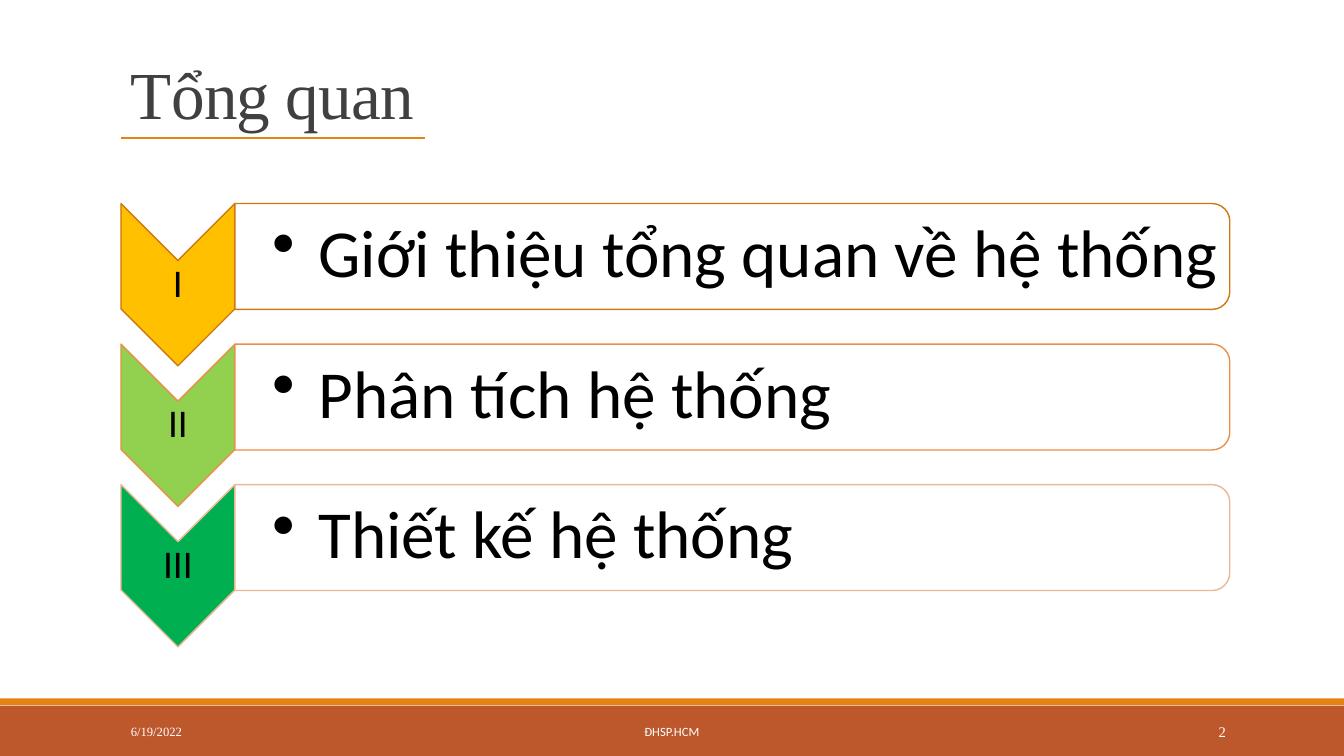
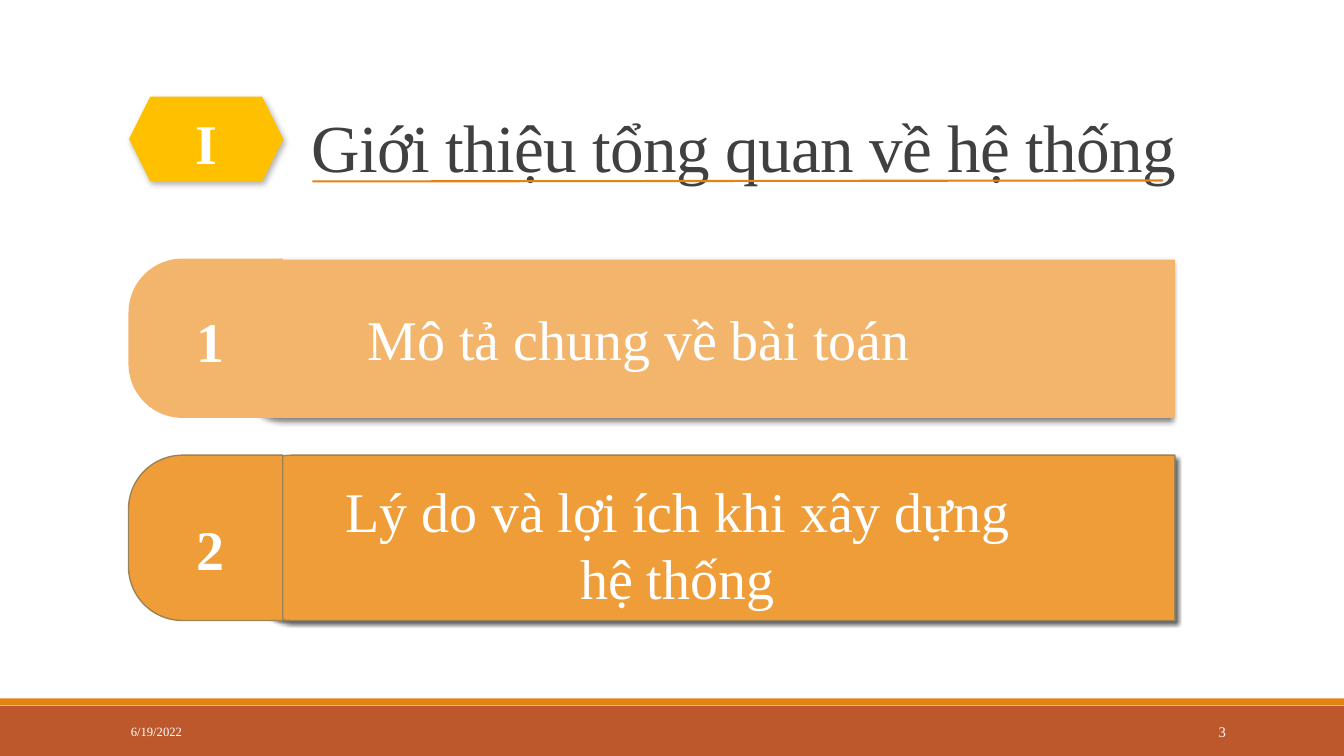
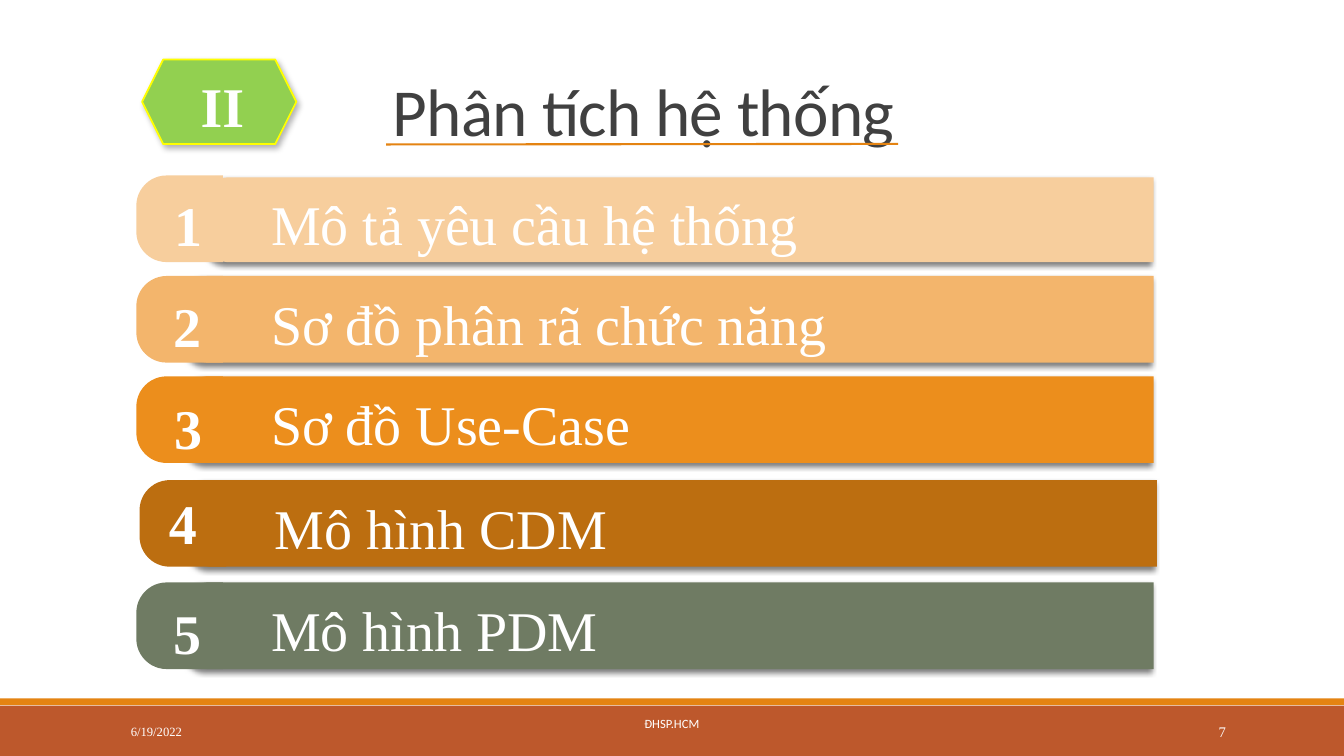
from lxml.etree import SubElement
from pptx import Presentation
from pptx.dml.color import RGBColor
from pptx.enum.shapes import MSO_CONNECTOR, MSO_SHAPE
from pptx.enum.text import MSO_ANCHOR, PP_ALIGN
from pptx.oxml.ns import qn
from pptx.util import Pt

COLORS = {
    "white": "FFFFFF",
    "black": "000000",
    "title": "404040",
    "orange": "E48312",
    "rust": "BD582C",
    "gold": "FFC000",
    "lime": "92D050",
    "green": "00B050",
    "yellow": "FFFF00",
    "edge_dark": "CF7710",
    "edge_mid": "E8904A",
    "edge_light": "ECB698",
    "edge_brown": "9B8357",
    "peach": "F7CE9D",
    "apricot": "F3B56C",
    "amber": "EF9D39",
    "tangerine": "EC8E1C",
    "brown": "BC6E10",
    "olive": "6F7B63",
}
SERIF = "Times New Roman"
SANS = "Calibri"
SLIDE_WIDTH, SLIDE_HEIGHT = 960, 540
NUMBER_WIDTH, NUMBER_HEIGHT = 61.2, 55.4

BAR_SHADOW = (50, 4, 3, 135)
EDGED_BAR_SHADOW = (60, 3, 2, 45)
BADGE_SHADOW = (30, 4.5, 2.6, 53)


def color(name):
    return RGBColor.from_string(COLORS[name])


def add_shadow(shape, opacity, blur, distance, angle):
    effects = shape.element.spPr.find(qn("a:effectLst"))
    shadow = SubElement(
        effects, qn("a:outerShdw"), blurRad=str(Pt(blur)), dist=str(Pt(distance)),
        dir=str(angle * 60000), algn="ctr", rotWithShape="0")
    tint = SubElement(shadow, qn("a:srgbClr"), val=COLORS["black"])
    SubElement(tint, qn("a:alpha"), val=str(opacity * 1000))


def add_block(slide, kind, left, top, width, height, fill, line=None,
              line_width=1, rotation=0, adjustments=(), shadow=None):
    if rotation in (90, 270):
        left, top = left + (width - height) / 2, top + (height - width) / 2
        width, height = height, width
    shape = slide.shapes.add_shape(kind, Pt(left), Pt(top), Pt(width), Pt(height))
    shape.rotation = rotation
    for index, value in enumerate(adjustments):
        shape.adjustments[index] = value
    shape.fill.solid()
    shape.fill.fore_color.rgb = color(fill)
    if line:
        shape.line.color.rgb = color(line)
        shape.line.width = Pt(line_width)
    else:
        shape.line.fill.background()
    shape.shadow.inherit = False
    if shadow:
        add_shadow(shape, *shadow)
    return shape


def add_text(slide, text, left, top, width, height, size, font=SERIF, tint="white",
             bold=False, align=PP_ALIGN.LEFT, anchor=MSO_ANCHOR.MIDDLE,
             margins=(7.2, 3.6, 7.2, 3.6), spacing=1):
    box = slide.shapes.add_textbox(Pt(left), Pt(top), Pt(width), Pt(height))
    frame = box.text_frame
    frame.word_wrap = True
    frame.vertical_anchor = anchor
    frame.margin_left, frame.margin_top, frame.margin_right, frame.margin_bottom = map(Pt, margins)
    paragraph = frame.paragraphs[0]
    paragraph.text = text
    paragraph.alignment = align
    paragraph.line_spacing = spacing
    paragraph.font.name = font
    paragraph.font.size = Pt(size)
    paragraph.font.bold = bold
    paragraph.font.color.rgb = color(tint)
    return paragraph


def add_bullet(paragraph, indent):
    properties = paragraph._p.get_or_add_pPr()
    properties.set("marL", str(Pt(indent)))
    properties.set("indent", str(-Pt(indent)))
    bullet = SubElement(properties, qn("a:buChar"), char="•")
    defaults = properties.find(qn("a:defRPr"))
    if defaults is not None:
        defaults.addprevious(bullet)


def add_title(slide, text, left, bottom, underline, font=SERIF):
    height = 72
    paragraph = add_text(slide, text, left, bottom - height, 878.4 - left, height, 48, font,
                         "title", anchor=MSO_ANCHOR.BOTTOM, spacing=0.85)
    paragraph.runs[0].font._element.set("spc", "-50")
    connector = slide.shapes.add_connector(MSO_CONNECTOR.STRAIGHT, *map(Pt, underline))
    connector.line.color.rgb = color("orange")
    connector.line.width = Pt(1.5)
    SubElement(connector.element.spPr, qn("a:effectLst"))


def add_number(slide, text, left, top):
    add_text(slide, text, left, top, NUMBER_WIDTH, NUMBER_HEIGHT, 40,
             bold=True, align=PP_ALIGN.CENTER)


def add_badge(slide, numeral, left, top, fill, number_left, line=None):
    add_block(slide, MSO_SHAPE.HEXAGON, left, top, 110.2, 60.5, fill, line, 1.25,
              shadow=BADGE_SHADOW)
    add_number(slide, numeral, number_left, top + 5)


def add_bar(slide, left, top, cap_width, height, bar_left, right, fill,
            line=None, shadow=BAR_SHADOW, inset=0):
    add_block(slide, MSO_SHAPE.ROUND_2_SAME_RECTANGLE, bar_left, top + inset,
              right - bar_left, height - inset, fill, line, rotation=270,
              adjustments=(0.23, 0), shadow=shadow)
    add_block(slide, MSO_SHAPE.ROUND_2_SAME_RECTANGLE, left, top, cap_width, height,
              fill, line, rotation=270, adjustments=(0.35, 0))


def add_chapter(slide, numeral, text, top, fill, line):
    add_block(slide, MSO_SHAPE.CHEVRON, 86.4, top, 81.4, 115.9, fill, line, rotation=90)
    add_text(slide, numeral, 86.4, top + 40.4, 81.4, 34.6, 28, SANS, "black",
             align=PP_ALIGN.CENTER, margins=(1.4,) * 4, spacing=0.9)
    add_block(slide, MSO_SHAPE.ROUND_2_SAME_RECTANGLE, 167.8, top, 710.6, 75.6,
              "white", line, rotation=90)
    paragraph = add_text(slide, text, 167.8, top + 3.6, 707, 67.7, 48, SANS, "black",
                         margins=(26.6, 2.2, 0, 2.2), spacing=0.9)
    add_bullet(paragraph, 33)


def start_slide(presentation, number, footer=None, footer_top=508.3):
    slide = presentation.slides.add_slide(presentation.slide_layouts[6])
    add_block(slide, MSO_SHAPE.RECTANGLE, 0, 504, SLIDE_WIDTH, 36, "rust")
    add_block(slide, MSO_SHAPE.RECTANGLE, 0, 498.8, SLIDE_WIDTH, 4.8, "orange")
    add_text(slide, "6/19/2022", 86.4, 508.3, 194.4, 28.8, 9)
    if footer:
        add_text(slide, footer, 290.2, footer_top, 379.4, 28.8, 9, SANS,
                 align=PP_ALIGN.CENTER)
    add_text(slide, number, 779.8, 508.3, 103, 28.8, 10.5, align=PP_ALIGN.RIGHT)
    return slide


def build_overview(presentation):
    slide = start_slide(presentation, "2", "ĐHSP.HCM")
    add_title(slide, "Tổng quan", 86.4, 98.6, (86.4, 98.6, 303.8, 98.6))
    chapters = [
        ("I", "Giới thiệu tổng quan về hệ thống", "gold", "edge_dark"),
        ("II", "Phân tích hệ thống", "lime", "edge_mid"),
        ("III", "Thiết kế hệ thống", "green", "edge_light"),
    ]
    for index, (numeral, text, fill, line) in enumerate(chapters):
        add_chapter(slide, numeral, text, 145.4 + 100.4 * index, fill, line)


def build_introduction(presentation):
    slide = start_slide(presentation, "3")
    add_title(slide, "Giới thiệu tổng quan về hệ thống", 215.3, 136.8,
              (223.2, 129.6, 830.9, 128.9))
    add_bar(slide, 91.8, 184.7, 110.2, 113.8, 177.5, 839.2, "apricot", inset=0.7)
    add_bar(slide, 91.8, 325.1, 110.2, 118.1, 180.4, 839.2, "amber",
            "edge_brown", EDGED_BAR_SHADOW)
    labels = [
        ("Mô tả chung về bài toán", 223.2, 213.8, 465.8, 55.4),
        ("Lý do và lợi ích khi xây dựng hệ thống", 235.4, 337, 496.8, 104.4),
    ]
    for label in labels:
        add_text(slide, *label, 40, align=PP_ALIGN.CENTER, anchor=MSO_ANCHOR.TOP)
    add_number(slide, "1", 119.5, 215.3)
    add_number(slide, "2", 119.5, 363.6)
    add_badge(slide, "I", 92.2, 69.1, "gold", 116.6)


def build_analysis(presentation):
    slide = start_slide(presentation, "7", "ĐHSP.HCM", 502.6)
    add_title(slide, "Phân tích hệ thống", 273.6, 110.9, (275.8, 103.2, 641.5, 102.8), SANS)
    add_badge(slide, "II", 101.5, 42.5, "lime", 128.2, "yellow")
    topics = [
        ("Mô tả yêu cầu hệ thống", "peach", 97.4, 125.3, 148.3, 1.4, 103.7, 132.5),
        ("Sơ đồ phân rã chức năng", "apricot", 97.4, 197.1, 133.6, 0, 103, 204.5),
        ("Sơ đồ Use-Case", "tangerine", 97.4, 268.8, 133.6, 0, 103.7, 277.2),
        ("Mô hình CDM", "brown", 99.7, 342.9, 135.9, 0, 100.1, 345.6),
        ("Mô hình PDM", "olive", 97.4, 416, 133.6, 0, 103, 424.1),
    ]
    for index, topic in enumerate(topics, 1):
        text, fill, left, top, bar_left, inset, number_left, number_top = topic
        add_bar(slide, left, top, 61.9, 61.9, bar_left, left + 726.6, fill, inset=inset)
        add_text(slide, text, left + 89.2, top + 6.2, 622.8, 55.4, 40, anchor=MSO_ANCHOR.TOP)
        add_number(slide, str(index), number_left, number_top)


def main():
    presentation = Presentation()
    presentation.slide_width = Pt(SLIDE_WIDTH)
    presentation.slide_height = Pt(SLIDE_HEIGHT)
    build_overview(presentation)
    build_introduction(presentation)
    build_analysis(presentation)
    presentation.save("out.pptx")


if __name__ == "__main__":
    main()
